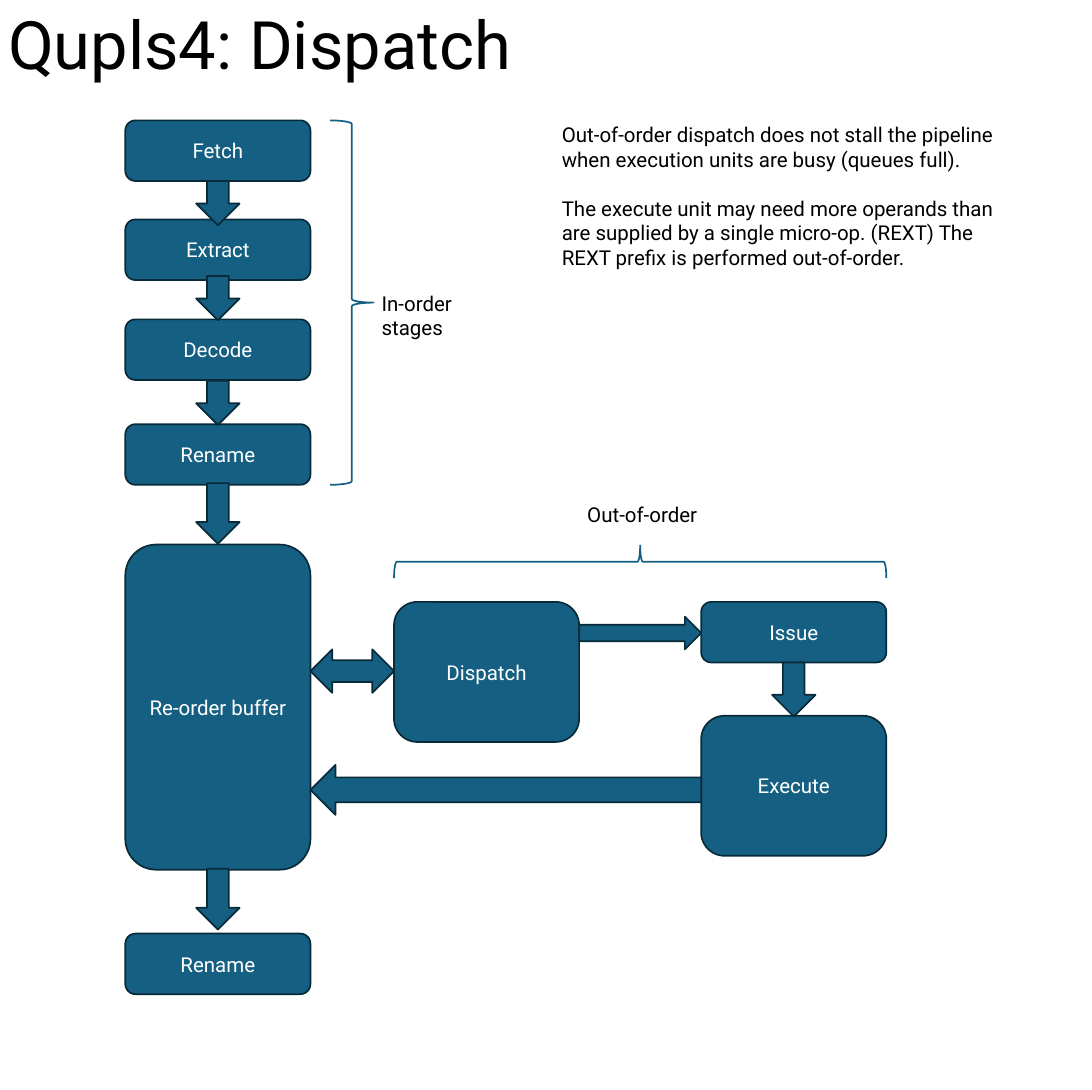
from dataclasses import dataclass

from pptx import Presentation
from pptx.dml.color import RGBColor
from pptx.enum.shapes import MSO_SHAPE
from pptx.enum.text import MSO_ANCHOR, PP_ALIGN
from pptx.util import Inches, Pt

NODE = MSO_SHAPE.ROUNDED_RECTANGLE
BRACE = MSO_SHAPE.RIGHT_BRACE
DOWN = MSO_SHAPE.DOWN_ARROW
LEFT = MSO_SHAPE.LEFT_ARROW
RIGHT = MSO_SHAPE.RIGHT_ARROW
BOTH_WAYS = MSO_SHAPE.LEFT_RIGHT_ARROW
MIDDLE = MSO_ANCHOR.MIDDLE
CENTER = PP_ALIGN.CENTER

SLIDE_WIDTH, SLIDE_HEIGHT = 13.33, 13.31
NODE_WIDTH, NODE_HEIGHT, TALL_HEIGHT = 2.26, 0.74, 1.71
ARROW_WIDTH = 0.53


@dataclass(frozen=True)
class Theme:
    """Colours and type sizes of the slide."""
    font: str = "Roboto"
    title_size: float = 58.7
    body_size: float = 18
    paragraph_gap: float = 21.5
    line_width: float = 1.5
    fill: RGBColor = RGBColor(0x15, 0x60, 0x82)
    outline: RGBColor = RGBColor(0x09, 0x2A, 0x39)
    ink: RGBColor = RGBColor(0, 0, 0)
    light: RGBColor = RGBColor(255, 255, 255)


@dataclass(frozen=True)
class Box:
    """A rectangle in inches."""
    left: float
    top: float
    width: float
    height: float

    def inner(self, left, top, width, height):
        """Return a box offset from this box's top left corner."""
        return Box(self.left + left, self.top + top, width, height)

    def lengths(self):
        """Return the box as slide lengths."""
        return [Inches(value) for value in (self.left, self.top, self.width, self.height)]


THEME = Theme()


def style_font(paragraph, size, color):
    """Set the theme font on a paragraph."""
    paragraph.font.name = THEME.font
    paragraph.font.size = Pt(size)
    paragraph.font.color.rgb = color


def add_solid(slide, kind, box, label=""):
    """Add a filled node or block arrow."""
    shape = slide.shapes.add_shape(kind, *box.lengths())
    shape.shadow.inherit = False
    shape.fill.solid()
    shape.fill.fore_color.rgb = THEME.fill
    shape.line.color.rgb = THEME.outline
    shape.line.width = Pt(THEME.line_width)
    if label:
        shape.text_frame.text = label
        shape.text_frame.vertical_anchor = MIDDLE
        paragraph = shape.text_frame.paragraphs[0]
        paragraph.alignment = CENTER
        style_font(paragraph, THEME.body_size, THEME.light)


def add_down_arrow(slide, column, top, height):
    """Add a down arrow centred on a column of nodes."""
    left = (NODE_WIDTH - ARROW_WIDTH) / 2
    add_solid(slide, DOWN, column.inner(left, top, ARROW_WIDTH, height))


def add_brace(slide, box, rotation=0):
    """Add an outlined brace."""
    shape = slide.shapes.add_shape(BRACE, *box.lengths())
    shape.shadow.inherit = False
    shape.fill.background()
    shape.line.color.rgb = THEME.fill
    shape.line.width = Pt(THEME.line_width)
    shape.rotation = rotation


def add_text(slide, box, *texts, size=THEME.body_size):
    """Add a wrapped text box with one paragraph per text."""
    frame = slide.shapes.add_textbox(*box.lengths()).text_frame
    frame.word_wrap = True
    frame.text = "\n".join(texts)
    for index, paragraph in enumerate(frame.paragraphs):
        style_font(paragraph, size, THEME.ink)
        if index:
            paragraph.space_before = Pt(THEME.paragraph_gap)
    return frame


def draw_title(slide, box):
    """Draw the slide title."""
    frame = add_text(slide, box, "Qupls4: Dispatch", size=THEME.title_size)
    frame.vertical_anchor = MIDDLE
    frame.paragraphs[0].line_spacing = 0.9


def draw_in_order_stages(slide, box):
    """Draw the in-order stages with their brace."""
    stages = (("Fetch", 0), ("Extract", 1.21), ("Decode", 2.43), ("Rename", 3.71))
    for label, top in stages:
        add_solid(slide, NODE, box.inner(0, top, NODE_WIDTH, NODE_HEIGHT), label)
    for top in (0.74, 1.9, 3.18):
        add_down_arrow(slide, box, top, 0.54)
    add_down_arrow(slide, box, 4.43, NODE_HEIGHT)
    add_brace(slide, box.inner(2.5, 0, ARROW_WIDTH, box.height))
    add_text(slide, box.inner(3.03, 2.03, 1.3, 0.7), "In-order stages")


def draw_buffer(slide, box):
    """Draw the re-order buffer and the stage that follows it."""
    buffer_height = 3.97
    add_solid(slide, NODE, box.inner(0, 0, NODE_WIDTH, buffer_height), "Re-order buffer")
    add_solid(slide, NODE, box.inner(0, box.height - NODE_HEIGHT, NODE_WIDTH, NODE_HEIGHT), "Rename")
    add_down_arrow(slide, box, buffer_height - 0.01, NODE_HEIGHT)


def draw_out_of_order(slide, box, buffer_right):
    """Draw the out-of-order units, their brace and the links to the buffer."""
    issue_left = box.width - NODE_WIDTH
    issue = box.inner(issue_left, 0.69, NODE_WIDTH, NODE_HEIGHT)
    execute_top = box.height - TALL_HEIGHT
    link = buffer_right - box.left
    add_solid(slide, NODE, box.inner(0, 0.69, NODE_WIDTH, TALL_HEIGHT), "Dispatch")
    add_solid(slide, NODE, issue, "Issue")
    add_solid(slide, NODE, box.inner(issue_left, execute_top, NODE_WIDTH, TALL_HEIGHT), "Execute")
    add_solid(slide, BOTH_WAYS, box.inner(link, 1.27, -link, ARROW_WIDTH))
    add_solid(slide, RIGHT, box.inner(NODE_WIDTH, 0.87, issue_left - NODE_WIDTH, 0.4))
    add_down_arrow(slide, issue, NODE_HEIGHT, 0.66)
    add_solid(slide, LEFT, box.inner(link, 2.68, issue_left - link, 0.61))
    depth = 0.4
    brace = box.inner((box.width - depth) / 2, (depth - box.width) / 2, depth, box.width)
    add_brace(slide, brace, rotation=270)
    add_text(slide, box.inner(NODE_WIDTH, -0.58, 1.57, depth), "Out-of-order")


def draw_notes(slide, box):
    """Draw the explanatory text."""
    add_text(
        slide, box,
        "Out-of-order dispatch does not stall the pipeline when execution units are busy (queues full).",
        "The execute unit may need more operands than are supplied by a single micro-op. (REXT) "
        "The REXT prefix is performed out-of-order.",
    )


def main():
    """Build and save the slide."""
    presentation = Presentation()
    presentation.slide_width = Inches(SLIDE_WIDTH)
    presentation.slide_height = Inches(SLIDE_HEIGHT)
    slide = presentation.slides.add_slide(presentation.slide_layouts[6])
    draw_title(slide, Box(0, 0, 11.5, 1.16))
    draw_in_order_stages(slide, Box(1.53, 1.47, 4.33, 4.45))
    draw_buffer(slide, Box(1.53, 6.65, NODE_WIDTH, 5.49))
    draw_out_of_order(slide, Box(4.81, 6.66, 6.01, 3.79), 1.53 + NODE_WIDTH)
    draw_notes(slide, Box(6.76, 1.44, 5.57, 2.22))
    presentation.save("out.pptx")


if __name__ == "__main__":
    main()
